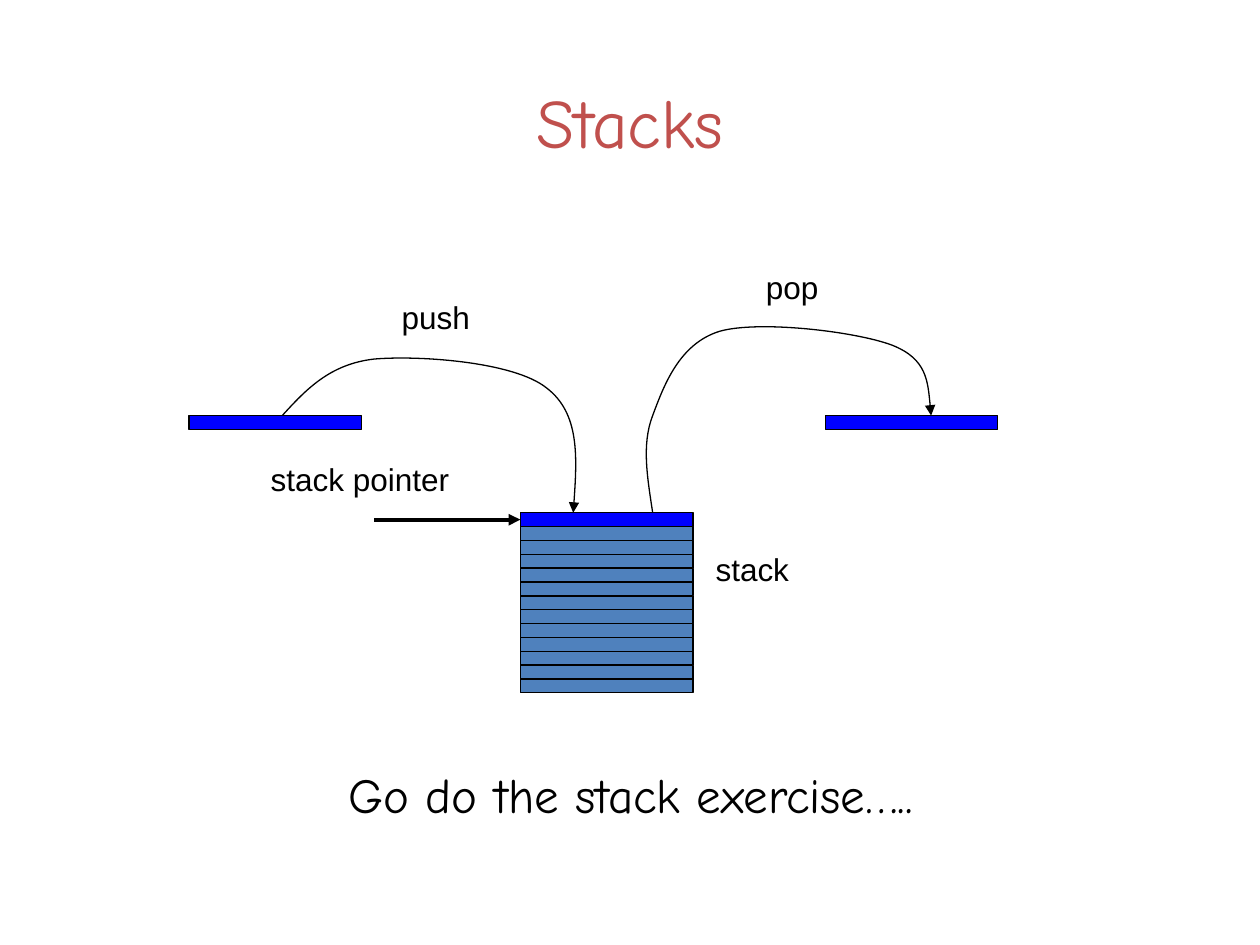
from lxml import etree
from pptx import Presentation
from pptx.dml.color import RGBColor
from pptx.enum import shapes, text
from pptx.oxml import ns
from pptx.util import Pt

BLACK = RGBColor(0x00, 0x00, 0x00)
RED = RGBColor(0xC0, 0x50, 0x4D)
BRIGHT_BLUE = RGBColor(0x00, 0x00, 0xFF)
STEEL_BLUE = RGBColor(0x4F, 0x81, 0xBD)

CELL_WIDTH, CELL_HEIGHT = 98.64, 7.92
STACK_LEFT, STACK_TOP, STACK_CELLS = 297.36, 293, 13
LOOSE_TOP = 237.5


class Diagram:
    heading_font = "Comic Neue"
    label_font = "Arial"

    def __init__(self, slide):
        self.slide = slide

    def text(self, words, left, top, width, height, size=18, font=label_font,
             color=BLACK, wrap=False, align=text.PP_ALIGN.LEFT):
        box = self.slide.shapes.add_textbox(Pt(left), Pt(top), Pt(width), Pt(height))
        frame = box.text_frame
        frame.word_wrap = wrap
        frame.vertical_anchor = text.MSO_ANCHOR.MIDDLE
        paragraph = frame.paragraphs[0]
        paragraph.text = words
        paragraph.alignment = align
        paragraph.font.name = font
        paragraph.font.size = Pt(size)
        paragraph.font.color.rgb = color

    def cell(self, left, top, color):
        shape = self.slide.shapes.add_shape(
            shapes.MSO_SHAPE.RECTANGLE, Pt(left), Pt(top), Pt(CELL_WIDTH), Pt(CELL_HEIGHT))
        shape.shadow.inherit = False
        shape.fill.solid()
        shape.fill.fore_color.rgb = color
        self.outline(shape.line)
        return shape

    def outline(self, line, width=0.75, arrow=False):
        line.color.rgb = BLACK
        line.width = Pt(width)
        if arrow:
            line_xml = line._get_or_add_ln()
            etree.SubElement(line_xml, ns.qn("a:tailEnd"), type="triangle")

    def curve(self, points):
        """Draw an arrow from a start point and control points in threes."""
        start, *rest = [(Pt(x), Pt(y)) for x, y in points]
        builder = self.slide.shapes.build_freeform(*start)
        builder.add_line_segments(rest, close=False)
        shape = builder.convert_to_shape()
        shape.shadow.inherit = False
        shape.fill.background()
        self.outline(shape.line, arrow=True)
        # Turn every three line segments into one Bezier segment
        segments = list(shape._element.iter(ns.qn("a:lnTo")))
        for first in range(0, len(segments), 3):
            bezier = etree.Element(ns.qn("a:cubicBezTo"))
            segments[first].addprevious(bezier)
            for segment in segments[first:first + 3]:
                bezier.append(segment[0])
                segment.getparent().remove(segment)

    def pointer(self, left, top, target):
        connector = self.slide.shapes.add_connector(
            shapes.MSO_CONNECTOR.STRAIGHT, Pt(left), Pt(top), target.left, Pt(top))
        connector.end_connect(target, 1)
        self.outline(connector.line, width=2.25, arrow=True)
        etree.SubElement(connector._element.spPr, ns.qn("a:effectLst"))


def main():
    presentation = Presentation()
    presentation.slide_width, presentation.slide_height = Pt(720), Pt(540)
    diagram = Diagram(presentation.slides.add_slide(presentation.slide_layouts[6]))

    # Title
    diagram.text("Stacks", 54, 42, 612, 54, 39.6, Diagram.heading_font, RED,
                 wrap=True, align=text.PP_ALIGN.CENTER)

    # Stack, with its top cell highlighted
    top_cell = diagram.cell(STACK_LEFT, STACK_TOP, BRIGHT_BLUE)
    for row in range(1, STACK_CELLS):
        diagram.cell(STACK_LEFT, STACK_TOP + row * CELL_HEIGHT, STEEL_BLUE)

    # Items outside the stack
    for left in (108, 471.6):
        diagram.cell(left, LOOSE_TOP, BRIGHT_BLUE)

    # Push and pop arrows
    diagram.curve([(161.3, LOOSE_TOP),
                   (175, 222.5), (188.6, 208.1), (213.8, 205.2),
                   (239, 203), (293.8, 206.6), (312.5, 221.8),
                   (331.2, 236.2), (329.8, 264.2), (327.6, STACK_TOP)])
    diagram.curve([(373, STACK_TOP),
                   (370.1, 273.6), (366.5, 254.2), (373, LOOSE_TOP),
                   (379.4, 220.3), (388.1, 196.6), (411.1, 189.4),
                   (433.4, 182.9), (488.9, 189.4), (509.8, 197.3),
                   (529.9, 205.2), (530.6, 221.8), (532.1, LOOSE_TOP)])

    # Labels
    for words, left, top, width in (
            ("push", 222.5, 167, 53.3),
            ("pop", 430.6, 149.8, 44.6),
            ("stack", 401.8, 311, 56.2),
            ("stack pointer", 147.6, 259.2, 116.6)):
        diagram.text(words, left, top, width, 28.8)

    # Stack pointer
    diagram.pointer(213.8, STACK_TOP + CELL_HEIGHT / 2, top_cell)

    # Closing line
    diagram.text("Go do the stack exercise…..", 192.2, 433.4, 373.7, 41, 28,
                 Diagram.heading_font)

    presentation.save("out.pptx")


if __name__ == "__main__":
    main()
